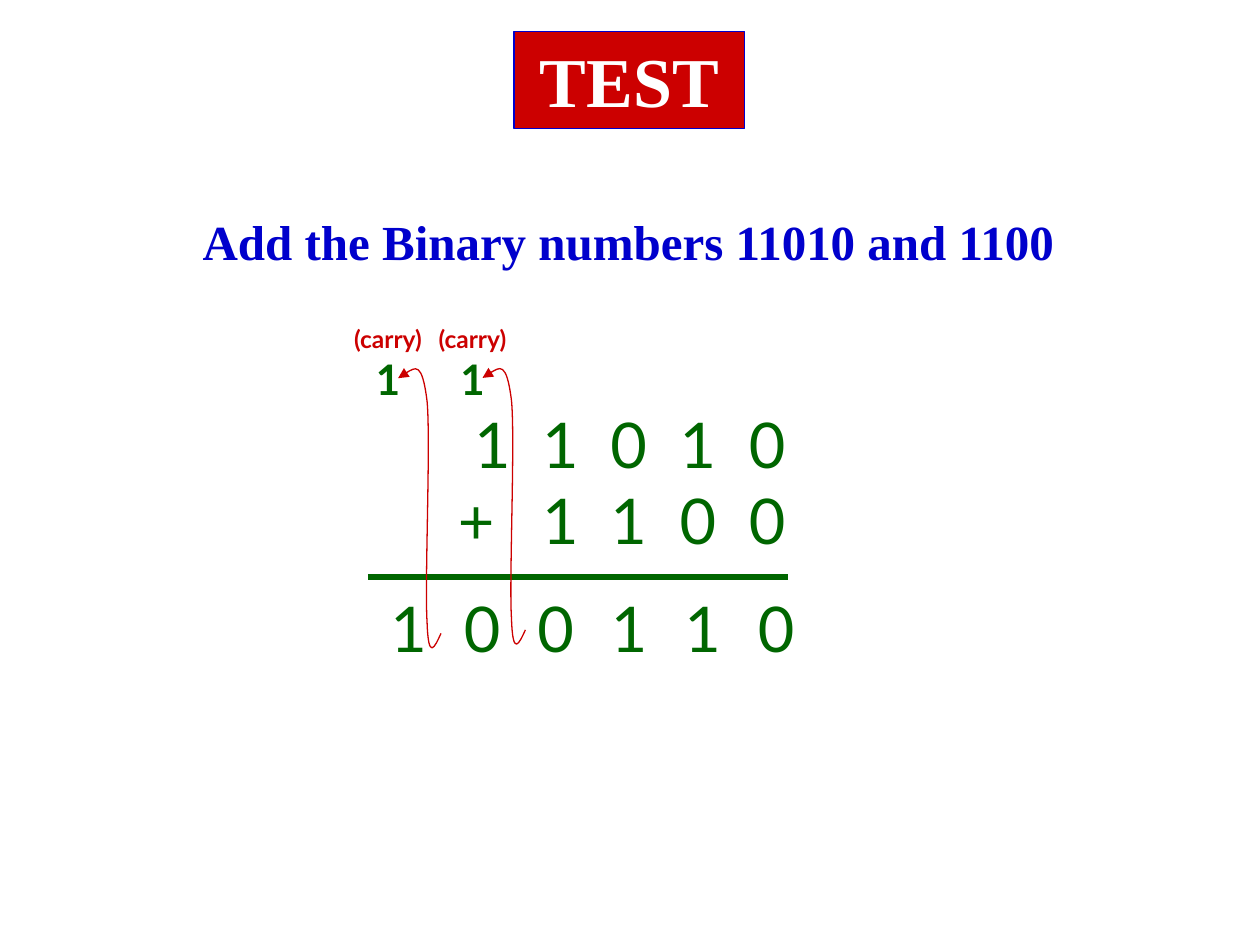
"""Build a slide that adds two binary numbers and shows the carries."""
from dataclasses import dataclass

from lxml import etree
from pptx import Presentation
from pptx.dml.color import RGBColor
from pptx.enum import shapes, text
from pptx.oxml.ns import qn
from pptx.util import Inches, Pt


@dataclass(frozen=True)
class Theme:
    red: str = "CC0000"
    blue: str = "0000CC"
    green: str = "006600"
    white: str = "FFFFFF"
    serif: str = "Times New Roman"
    sans: str = "Lato"
    title: int = 40
    heading: int = 28
    digit: int = 36
    carry: int = 24
    label: int = 14
    thin: float = 0.75
    rule: float = 3


@dataclass(frozen=True)
class Carry:
    left: float
    height: float


THEME = Theme()
CARRIES = [Carry(3.25, 2.36), Carry(2.58, 2.39)]
CARRY_TOP, ARROW_TOP, ARROW_HEIGHT = 2.52, 2.86, 2.36
ARROW = [(0.92, 2.14), (0.87, 2.25), (0.82, 2.36), (0.81, 2.05), (0.79, 1.75),
         (0.84, 0.63), (0.81, 0.32), (0.77, 0), (0.68, 0.07), (0.58, 0.14)]
COLUMNS = [1.6, 2.14, 2.69, 3.24]
ADDENDS = [("11010", 1.06), ("+1100", 0.93)]
RESULT = "100110"
RESULT_LEFT, RESULT_STEP = 3.0, 7 / 12


def write(tf, content: str, *, size: float, color: str, font: str = THEME.sans,
          bold: bool = False, align=text.PP_ALIGN.CENTER, first: bool = True):
    """Write one formatted paragraph and return it."""
    p = tf.paragraphs[0] if first else tf.add_paragraph()
    p.alignment = align
    r = p.add_run()
    r.text = content
    r.font.size, r.font.bold, r.font.name = Pt(size), bold, font
    r.font.color.rgb = RGBColor.from_string(color)
    return p


def add_box(parent, left: float, top: float, width: float, height: float,
            wrap: bool = True):
    """Add an empty text box and return its text frame."""
    sp = parent.add_textbox(Inches(left), Inches(top), Inches(width), Inches(height))
    sp.text_frame.word_wrap = wrap
    return sp.text_frame


def set_line(sp, color: str, width: float) -> None:
    """Give a shape or connector a solid line."""
    sp.line.color.rgb = RGBColor.from_string(color)
    sp.line.width = Pt(width)


def set_tabs(p, stops: list[float]) -> None:
    """Add centred tab stops to a paragraph."""
    tabs = etree.SubElement(p._p.get_or_add_pPr(), qn("a:tabLst"))
    for stop in stops:
        etree.SubElement(tabs, qn("a:tab"), pos=str(Inches(stop)), algn="ctr")


def add_curve(parent, points: list[tuple[float, float]]):
    """Add an open Bezier curve with an arrowhead at its end."""
    start, *rest = [(Inches(x), Inches(y)) for x, y in points]
    builder = parent.build_freeform(*start)
    builder.add_line_segments(rest, close=False)
    sp = builder.convert_to_shape()
    sp.shadow.inherit = False
    sp.fill.background()
    set_line(sp, THEME.red, THEME.thin)
    etree.SubElement(sp.line._get_or_add_ln(), qn("a:tailEnd"), type="triangle")
    route = next(sp._element.iter(qn("a:path")))
    segments = route.findall(qn("a:lnTo"))
    for i in range(0, len(segments), 3):
        curve = etree.SubElement(route, qn("a:cubicBezTo"))
        for segment in segments[i:i + 3]:
            curve.append(segment[0])
            route.remove(segment)
    return sp


def add_carry(slide, carry: Carry) -> None:
    """Add a labelled carry digit with its arrow as one group."""
    group = slide.shapes.add_group_shape().shapes
    tf = add_box(group, carry.left, CARRY_TOP, 1, 0.74)
    write(tf, "(carry)", size=THEME.label, color=THEME.red, bold=True)
    write(tf, "1", size=THEME.carry, color=THEME.green, bold=True, first=False)
    stretch = carry.height / ARROW_HEIGHT
    add_curve(group, [(carry.left + x, ARROW_TOP + y * stretch) for x, y in ARROW])


def add_title(slide) -> None:
    """Format the title placeholder as a filled label."""
    sp = slide.shapes.title
    sp.left, sp.top, sp.width, sp.height = map(Inches, (4.08, 0.25, 1.83, 0.77))
    sp.fill.solid()
    sp.fill.fore_color.rgb = RGBColor.from_string(THEME.red)
    set_line(sp, THEME.blue, THEME.thin)
    tf = sp.text_frame
    tf.auto_size = text.MSO_AUTO_SIZE.NONE
    tf.vertical_anchor = text.MSO_ANCHOR.MIDDLE
    write(tf, "TEST", size=THEME.title, color=THEME.white, font=THEME.serif, bold=True)


def add_sum(slide) -> None:
    """Add the addends, the rule below them and the result digits."""
    tf = add_box(slide.shapes, 2.75, 3.17, 3.58, 1.3)
    tf.margin_right = Inches(0)
    for i, (digits, start) in enumerate(ADDENDS):
        p = write(tf, "".join(f"\t{d}" for d in digits), size=THEME.digit,
                  color=THEME.green, align=text.PP_ALIGN.LEFT, first=i == 0)
        set_tabs(p, [start, *COLUMNS])
    rule = slide.shapes.add_connector(shapes.MSO_CONNECTOR.STRAIGHT, Inches(2.92),
                                      Inches(4.58), Inches(6.25), Inches(4.58))
    set_line(rule, THEME.green, THEME.rule)
    etree.SubElement(rule._element.spPr, qn("a:effectLst"))
    for i, digit in enumerate(RESULT):
        tf = add_box(slide.shapes, RESULT_LEFT + i * RESULT_STEP, 4.63, 0.33, 0.7)
        write(tf, digit, size=THEME.digit, color=THEME.green)


def main() -> None:
    """Build and save the slide."""
    prs = Presentation()
    prs.slide_width, prs.slide_height = Inches(10), Inches(7.5)
    slide = prs.slides.add_slide(prs.slide_layouts[5])
    add_title(slide)
    tf = add_box(slide.shapes, 1.51, 1.58, 6.99, 0.62, wrap=False)
    p = write(tf, "Add the Binary numbers 11010 and 1100", size=THEME.heading,
              color=THEME.blue, font=THEME.serif, bold=True, align=text.PP_ALIGN.LEFT)
    p.line_spacing = 1.1
    add_sum(slide)
    for carry in CARRIES:
        add_carry(slide, carry)
    prs.save("out.pptx")


if __name__ == "__main__":
    main()
